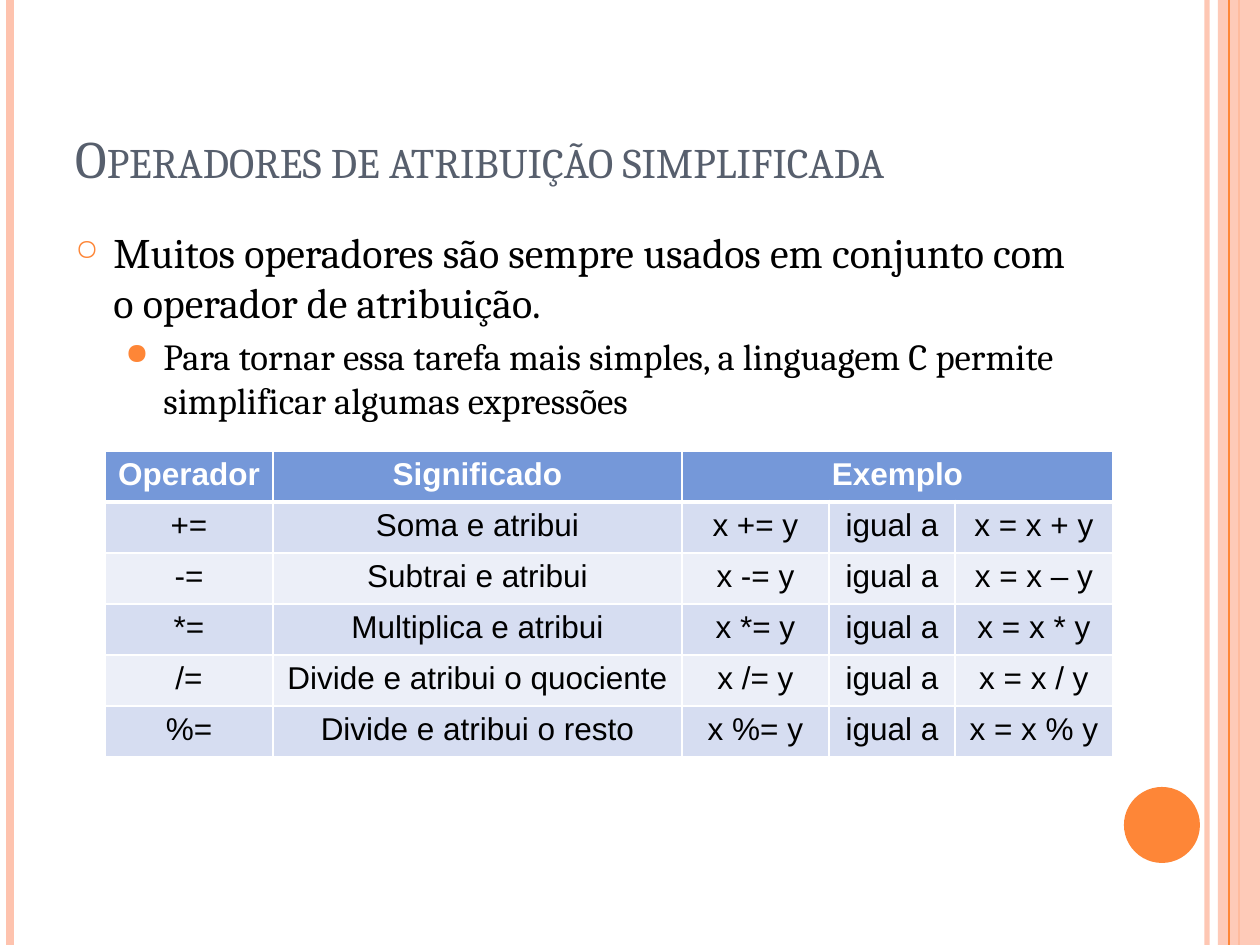
from dataclasses import dataclass
from lxml.etree import SubElement
from pptx import Presentation
from pptx.dml.color import RGBColor
from pptx.enum.shapes import MSO_CONNECTOR, MSO_SHAPE
from pptx.enum.text import MSO_ANCHOR, PP_ALIGN
from pptx.oxml.ns import qn
from pptx.util import Pt

PX = 914400 / 126  # EMU in one px
WIDTH, HEIGHT = 1260, 945


@dataclass(frozen=True)
class Theme:
    orange: str = "FE8637"
    peach: str = "FEC3AE"
    slate: str = "575F6D"
    black: str = "000000"
    white: str = "FFFFFF"
    header: str = "7598D9"
    bands: tuple = ("D6DDF1", "ECEFF8")
    serif: str = "Cambria"
    sans: str = "Arial"
    title_size: int = 30
    body_sizes: tuple = (24, 21)
    table_size: int = 18


theme = Theme()


def emu(*lengths):
    return [round(length * PX) for length in lengths]


def add_span(para, text, font, size, color, bold=False):
    span = para.add_run()
    span.text = text
    span.font.name = font
    span.font.size = Pt(size)
    span.font.bold = bold
    span.font.color.rgb = RGBColor.from_string(color)
    return span


deck = Presentation()
deck.slide_width, deck.slide_height = emu(WIDTH, HEIGHT)
page = deck.slides.add_slide(deck.slide_layouts[6])

# Side stripes, back to front; the band covers the first three
stripes = [
    ("line", 1207, 3, theme.peach, 93),
    ("line", 10, 4.5, theme.peach, 100),
    ("line", 1239, 1.5, theme.orange, 100),
    ("band", 1218, 42, theme.peach, 87),
    ("line", 1229, 0.75, theme.orange, 100),
]
for kind, x, thickness, color, opacity in stripes:
    if kind == "line":
        stripe = page.shapes.add_connector(MSO_CONNECTOR.STRAIGHT, *emu(x, 0, x, HEIGHT))
        stripe.line.width = Pt(thickness)
        fill = stripe.line.fill
    else:
        stripe = page.shapes.add_shape(MSO_SHAPE.RECTANGLE, *emu(x, 0, thickness, HEIGHT))
        stripe.line.fill.background()
        fill = stripe.fill
    fill.solid()
    fill.fore_color.rgb = RGBColor.from_string(color)
    properties = stripe._element.spPr
    SubElement(properties, qn("a:effectLst"))
    if opacity < 100:
        tint = next(properties.iter(qn("a:srgbClr")))
        SubElement(tint, qn("a:alpha"), val=str(opacity * 1000))

# Corner disc
disc = page.shapes.add_shape(MSO_SHAPE.OVAL, *emu(1124, 787, 76, 76))
disc.shadow.inherit = False
disc.fill.solid()
disc.fill.fore_color.rgb = RGBColor.from_string(theme.orange)
disc.line.fill.background()

# Title
title = page.shapes.add_textbox(*emu(63, 38, 1029, 157)).text_frame
title.word_wrap = True
title.vertical_anchor = MSO_ANCHOR.BOTTOM
span = add_span(title.paragraphs[0], "Operadores de atribuição simplificada",
                theme.serif, theme.title_size, theme.slate)
span.font._element.set("cap", "small")

# Bulleted text: text, indent, space before, bullet, bullet size
points = [
    ("Muitos operadores são sempre usados em conjunto com o operador de atribuição.",
     38, 6, "○", 70),
    ("Para tornar essa tarefa mais simples, a linguagem C permite simplificar "
     "algumas expressões", 88, 4, "●", 80),
]
body = page.shapes.add_textbox(*emu(63, 220, 1029, 672)).text_frame
body.word_wrap = True
for level, (text, indent, gap, bullet, bullet_size) in enumerate(points):
    para = body.add_paragraph() if level else body.paragraphs[0]
    para.level = level
    para.space_before = Pt(gap)
    properties = para._p.get_or_add_pPr()
    margin, hang = emu(indent, -38)
    properties.set("marL", str(margin))
    properties.set("indent", str(hang))
    bullet_color = SubElement(properties, qn("a:buClr"))
    SubElement(bullet_color, qn("a:srgbClr"), val=theme.orange)
    SubElement(properties, qn("a:buSzPct"), val=str(bullet_size * 1000))
    SubElement(properties, qn("a:buChar"), char=bullet)
    add_span(para, text, theme.serif, theme.body_sizes[level], theme.black)

# Operator table: symbol, meaning, right-hand side of the long form
operators = [
    ("+=", "Soma e atribui", "x + y"),
    ("-=", "Subtrai e atribui", "x – y"),
    ("*=", "Multiplica e atribui", "x * y"),
    ("/=", "Divide e atribui o quociente", "x / y"),
    ("%=", "Divide e atribui o resto", "x % y"),
]
rows = [("Operador", "Significado", "Exemplo", "", "")]
rows += [(symbol, meaning, f"x {symbol} y", "igual a", f"x = {result}")
         for symbol, meaning, result in operators]
column_widths = emu(168, 409, 147, 126, 158)
row_height = 51
table = page.shapes.add_table(len(rows), len(column_widths),
                              *emu(105, 451, 1008, row_height * len(rows))).table
for column, width in zip(table.columns, column_widths):
    column.width = width

for row_index, texts in enumerate(rows):
    table.rows[row_index].height = emu(row_height)[0]
    is_header = row_index == 0
    for column_index, text in enumerate(texts):
        cell = table.cell(row_index, column_index)
        borders = {"a:lnL": 1, "a:lnR": 1,
                   "a:lnT": 3 if row_index == 1 else 1,
                   "a:lnB": 3 if is_header else 1}
        for side, points_wide in borders.items():
            border = SubElement(cell._tc.get_or_add_tcPr(), qn(side),
                                w=str(Pt(points_wide)))
            paint = SubElement(border, qn("a:solidFill"))
            SubElement(paint, qn("a:srgbClr"), val=theme.white)
        cell.fill.solid()
        cell.fill.fore_color.rgb = RGBColor.from_string(
            theme.header if is_header else theme.bands[(row_index - 1) % 2])
        if text:
            para = cell.text_frame.paragraphs[0]
            para.alignment = PP_ALIGN.CENTER
            add_span(para, text, theme.sans, theme.table_size,
                     theme.white if is_header else theme.black, is_header)
table.cell(0, 2).merge(table.cell(0, 4))

deck.save("out.pptx")
